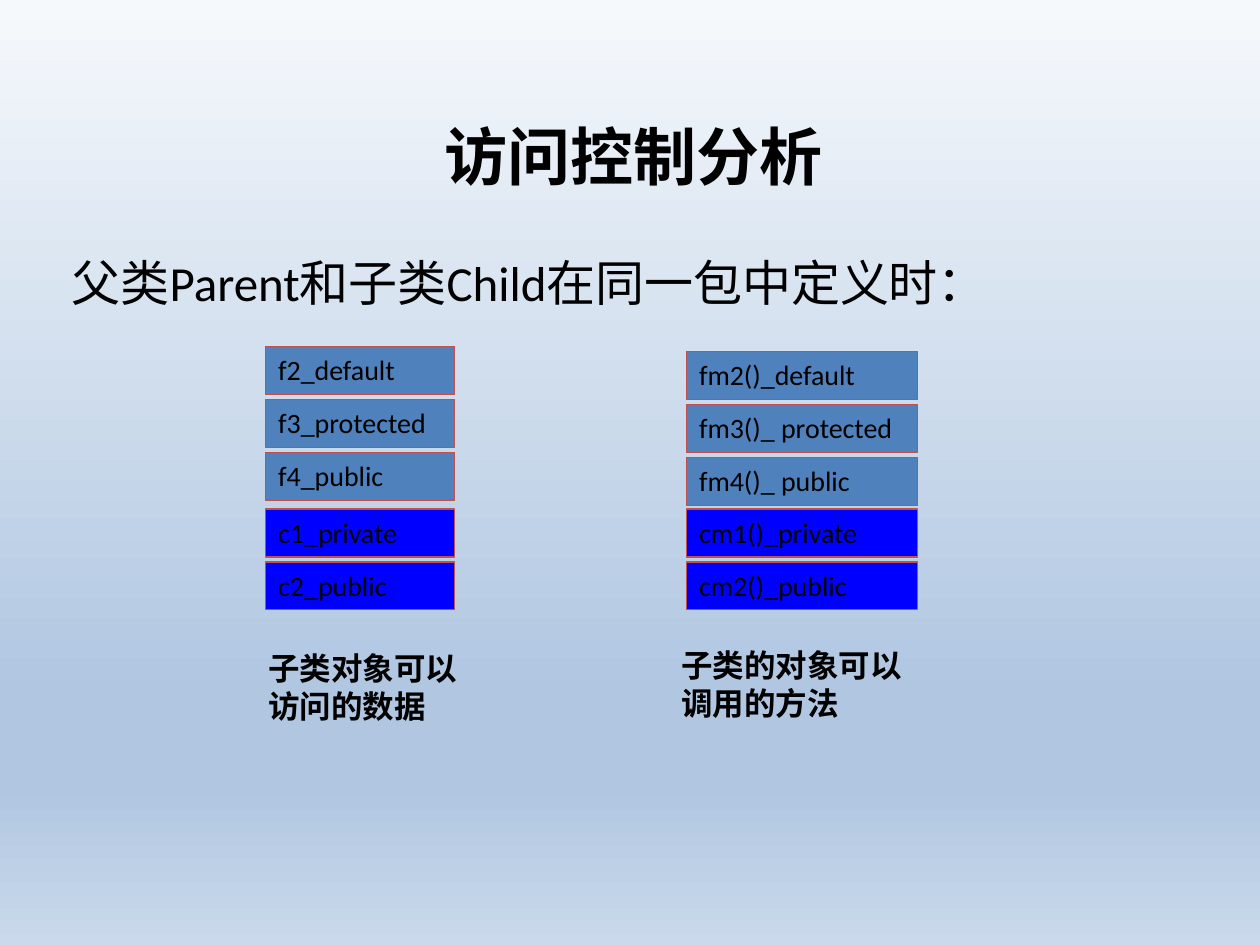
from lxml.etree import SubElement
from pptx import Presentation
from pptx.dml.color import RGBColor
from pptx.enum.shapes import MSO_SHAPE
from pptx.enum.text import MSO_ANCHOR, MSO_AUTO_SIZE, PP_ALIGN
from pptx.oxml.ns import qn
from pptx.util import Inches, Pt


def tint(code):
    return RGBColor.from_string(code)


class Page:
    font = "Calibri"
    ink = "000000"
    edge = "C0504D"

    def __init__(self, slide):
        self.slide = slide

    def back(self, stops):
        fill = self.slide.background.fill
        fill.gradient()
        fill.gradient_angle = 270
        ramp = next(self.slide.element.iter(qn("a:gsLst")))
        for old in list(ramp):
            ramp.remove(old)
        for place, code in stops:
            stop = SubElement(ramp, qn("a:gs"), pos=str(place * 1000))
            SubElement(stop, qn("a:srgbClr"), val=code)

    def place(self, shape, box):
        shape.left, shape.top, shape.width, shape.height = map(Inches, box)

    def words(self, shape, parts, size, bold=False, align=PP_ALIGN.LEFT, anchor=MSO_ANCHOR.TOP):
        frame = shape.text_frame
        frame.word_wrap = True
        frame.auto_size = MSO_AUTO_SIZE.NONE
        frame.vertical_anchor = anchor
        para = frame.paragraphs[0]
        para.alignment = align
        para.space_before = Pt(0)
        for part in parts:
            run = para.add_run()
            run.text = part
            run.font.name = self.font
            run.font.size = Pt(size)
            run.font.bold = bold
            run.font.color.rgb = tint(self.ink)
        return para

    def title(self, box, text):
        shape = self.slide.shapes.title
        self.place(shape, box)
        self.words(shape, [text], 36, True, anchor=MSO_ANCHOR.MIDDLE)

    def body(self, box, parts):
        shape = self.slide.placeholders[1]
        self.place(shape, box)
        para = self.words(shape, parts, 28)
        props = para._p.get_or_add_pPr()
        props.set("marL", "0")
        props.set("indent", "0")
        SubElement(props, qn("a:buNone"))

    def label(self, box, text):
        shape = self.slide.shapes.add_textbox(*map(Inches, box))
        self.words(shape, [text], 18, True)

    def cell(self, box, text, fill):
        shape = self.slide.shapes.add_shape(MSO_SHAPE.RECTANGLE, *map(Inches, box))
        shape.shadow.inherit = False
        shape.fill.solid()
        shape.fill.fore_color.rgb = tint(fill)
        shape.line.color.rgb = tint(self.edge)
        shape.line.width = Pt(0.75)
        self.words(shape, [text], 16, align=PP_ALIGN.JUSTIFY)

    def stack(self, left, top, width, names, fill):
        for row, name in enumerate(names):
            self.cell((left, top + 0.42 * row, width, 0.38), name, fill)


def main():
    deck = Presentation()
    deck.slide_width, deck.slide_height = Inches(10), Inches(7.5)
    page = Page(deck.slides.add_slide(deck.slide_layouts[1]))
    page.back([(0, "F6F9FC"), (74, "B0C6E1"), (83, "B0C6E1"), (100, "CAD9EB")])
    page.title((3.43, 0.77, 3.49, 0.93), "访问控制分析")
    page.body((0.47, 1.95, 8.65, 0.57), ["父类", "Parent", "和子类", "Child", "在同一包中定义时："])

    steel, blue = "4F81BD", "0000FF"
    page.stack(2.11, 2.75, 1.5, ["f2_default", "f3_protected", "f4_public"], steel)
    page.stack(2.11, 4.04, 1.5, ["c1_private", "c2_public"], blue)
    page.stack(5.45, 2.79, 1.83, ["fm2()_default", "fm3()_ protected", "fm4()_ public"], steel)
    page.stack(5.45, 4.04, 1.83, ["cm1()_private", "cm2()_public"], blue)

    page.label((2.03, 5.1, 1.83, 0.7), "子类对象可以访问的数据")
    page.label((5.31, 5.08, 2.1, 0.71), "子类的对象可以调用的方法")
    deck.save("out.pptx")


if __name__ == "__main__":
    main()
